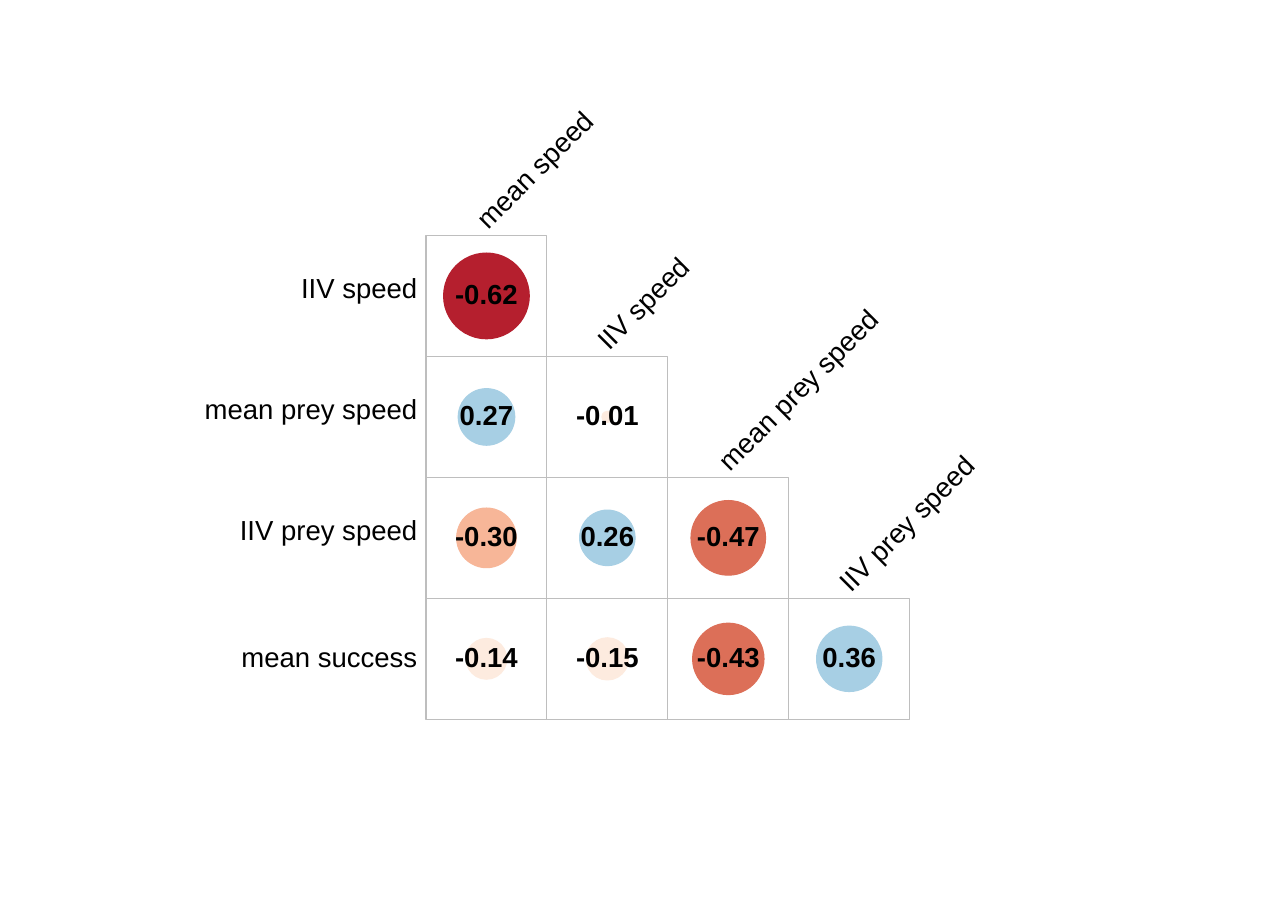
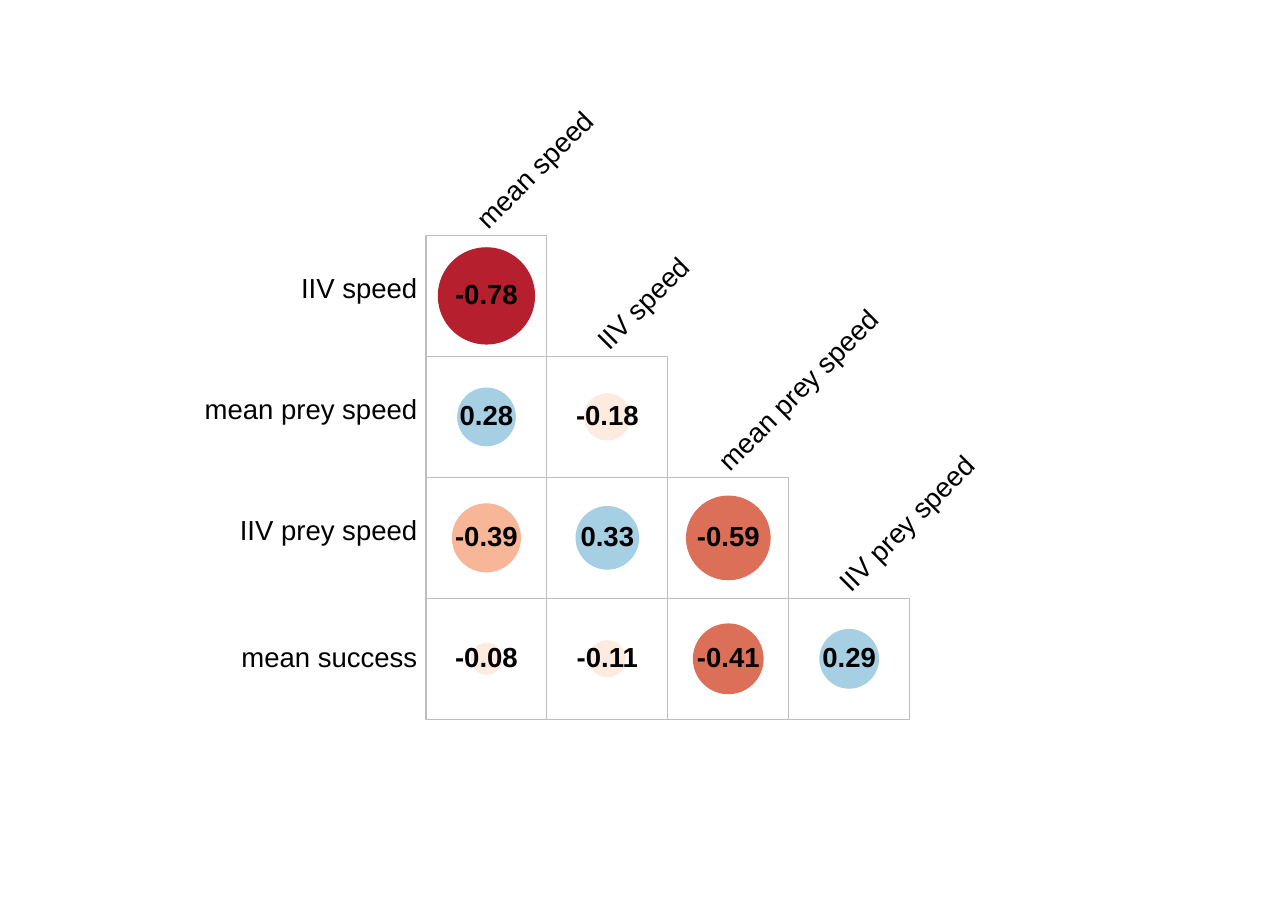
"""Build two slides that each show a triangular correlation matrix."""
import math
import pptx
import pptx.util
import pptx.dml.color
import pptx.enum.shapes
import pptx.enum.text

Cm = pptx.util.Cm
Pt = pptx.util.Pt
RGBColor = pptx.dml.color.RGBColor
MSO_SHAPE = pptx.enum.shapes.MSO_SHAPE
PP_ALIGN = pptx.enum.text.PP_ALIGN

COLORS = {
    "text": "000000",
    "cell": "FFFFFF",
    "grid": "BEBEBE",
    "positive": "A7CFE4",
    "negligible": "FDEBDF",
    "weak": "F7B698",
    "moderate": "DC6F58",
    "strong": "B51F2E",
}
NEGATIVE_LEVELS = [(0.2, "negligible"), (0.4, "weak"), (0.6, "moderate"), (1, "strong")]

GRID_LEFT, GRID_TOP, CELL = 9.83, 5.43, 2.79
CIRCLE_SCALE = 0.9
LABEL_WIDTH, LABEL_HEIGHT = 5.2, 0.6
LABEL_GAP = 0.2
ROW_LABEL_SHIFTS = [-0.13, -0.13, -0.13, 0]
COLUMN_LABEL_SHIFT, COLUMN_LABEL_RISE = 1.3, 0.25

ROW_LABELS = ["IIV speed", "mean prey speed", "IIV prey speed", "mean success"]
COLUMN_LABELS = ["mean speed", "IIV speed", "mean prey speed", "IIV prey speed"]
MATRICES = [
    [[-0.62], [0.27, -0.01], [-0.30, 0.26, -0.47], [-0.14, -0.15, -0.43, 0.36]],
    [[-0.78], [0.28, -0.18], [-0.39, 0.33, -0.59], [-0.08, -0.11, -0.41, 0.29]],
]


def add_figure(slide, kind, center_x, center_y, size, fill, line):
    shape = slide.shapes.add_shape(
        kind, Cm(center_x - size / 2), Cm(center_y - size / 2), Cm(size), Cm(size))
    shape.shadow.inherit = False
    shape.fill.solid()
    shape.fill.fore_color.rgb = RGBColor.from_string(COLORS[fill])
    shape.line.color.rgb = RGBColor.from_string(COLORS[line])
    shape.line.width = Pt(0.75)


def add_text(slide, text, *, center_x, center_y, width, align, bold=False, rotation=0):
    box = slide.shapes.add_textbox(
        Cm(center_x - width / 2), Cm(center_y - LABEL_HEIGHT / 2), Cm(width), Cm(LABEL_HEIGHT))
    box.rotation = rotation
    frame = box.text_frame
    frame.word_wrap = True
    frame.vertical_anchor = pptx.enum.text.MSO_ANCHOR.MIDDLE
    frame.margin_left = frame.margin_right = frame.margin_top = frame.margin_bottom = 0
    paragraph = frame.paragraphs[0]
    paragraph.alignment = align
    paragraph.line_spacing = Pt(18)
    run = paragraph.add_run()
    run.text = text
    run.font.name = "Arial"
    run.font.size = Pt(18)
    run.font.bold = bold
    run.font.color.rgb = RGBColor.from_string(COLORS["text"])


presentation = pptx.Presentation()
presentation.slide_width = Cm(29.72)
presentation.slide_height = Cm(21.01)

for matrix in MATRICES:
    slide = presentation.slides.add_slide(presentation.slide_layouts[6])

    for row, values in enumerate(matrix):
        center_y = GRID_TOP + (row + 0.5) * CELL
        for column, value in enumerate(values):
            center_x = GRID_LEFT + (column + 0.5) * CELL
            if value > 0:
                color = "positive"
            else:
                color = next(name for limit, name in NEGATIVE_LEVELS if -value <= limit)
            diameter = CIRCLE_SCALE * CELL * math.sqrt(abs(value))
            add_figure(slide, MSO_SHAPE.RECTANGLE, center_x, center_y, CELL, "cell", "grid")
            add_figure(slide, MSO_SHAPE.OVAL, center_x, center_y, diameter, color, color)
            add_text(slide, f"{value:.2f}", center_x=center_x, center_y=center_y,
                     width=CELL, align=PP_ALIGN.CENTER, bold=True)

    for column, label in enumerate(COLUMN_LABELS):
        reach = LABEL_WIDTH / 2 * math.sqrt(0.5)
        add_text(slide, label,
                 center_x=GRID_LEFT + column * CELL + COLUMN_LABEL_SHIFT + reach,
                 center_y=GRID_TOP + column * CELL - COLUMN_LABEL_RISE - reach,
                 width=LABEL_WIDTH, align=PP_ALIGN.LEFT, rotation=315)

    for row, (label, shift) in enumerate(zip(ROW_LABELS, ROW_LABEL_SHIFTS)):
        add_text(slide, label,
                 center_x=GRID_LEFT - LABEL_GAP - LABEL_WIDTH / 2,
                 center_y=GRID_TOP + (row + 0.5) * CELL + shift,
                 width=LABEL_WIDTH, align=PP_ALIGN.RIGHT)

presentation.save("out.pptx")
